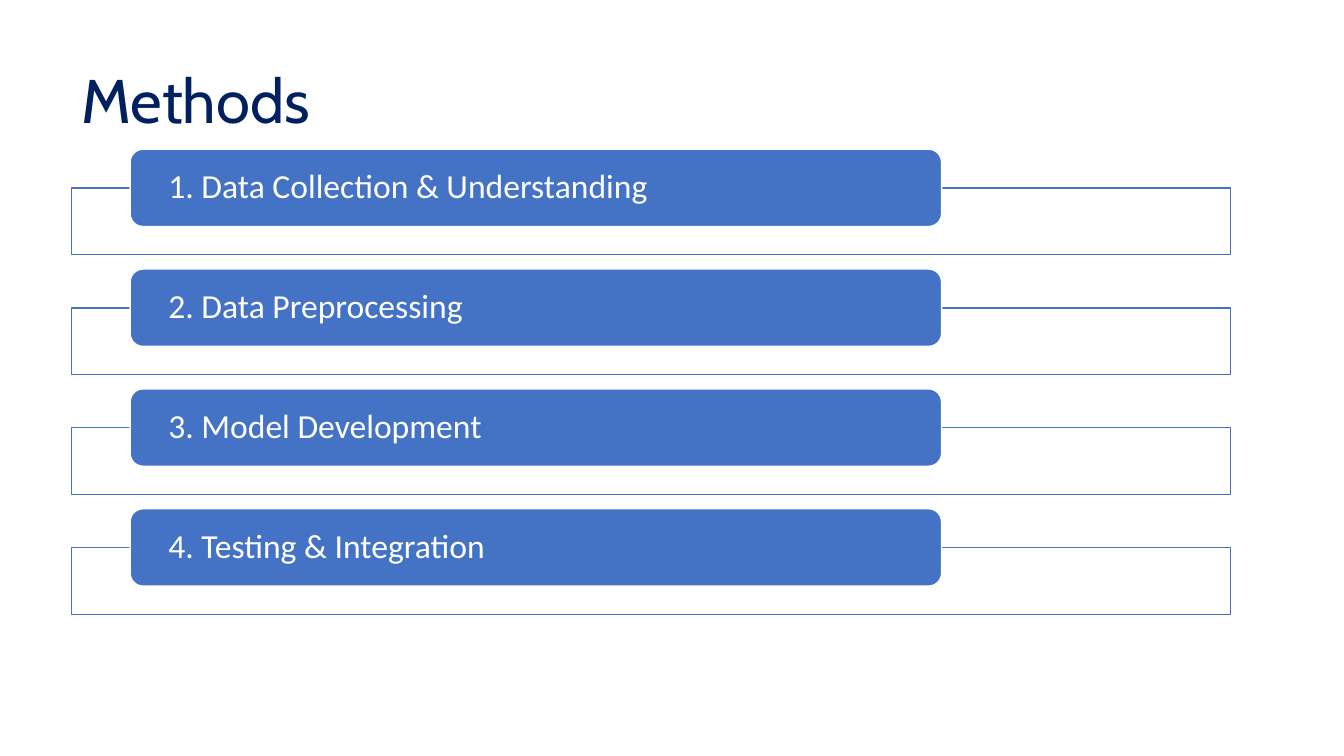
from lxml.etree import SubElement
from pptx import Presentation
from pptx.dml.color import RGBColor
from pptx.enum.shapes import MSO_SHAPE
from pptx.enum.text import MSO_ANCHOR, MSO_AUTO_SIZE, PP_ALIGN
from pptx.oxml.ns import qn
from pptx.util import Cm, Pt

COLORS = {"navy": "002060", "blue": "4472C4", "white": "FFFFFF"}
STEPS = [
    "Data Collection & Understanding",
    "Data Preprocessing",
    "Model Development",
    "Testing & Integration",
]
LEFT, WIDTH = 1.8, 29.21
TOP, PITCH = 3.76, 3.02


def color(name):
    """Return the named colour."""
    return RGBColor.from_string(COLORS[name])


def write(frame, text, font="Calibri", size=24, ink="white", inset=0.25, pad=0):
    """Put left-aligned, vertically centred text in a frame."""
    frame.word_wrap = True
    frame.auto_size = MSO_AUTO_SIZE.NONE
    frame.vertical_anchor = MSO_ANCHOR.MIDDLE
    frame.margin_left = frame.margin_right = Cm(inset)
    frame.margin_top = frame.margin_bottom = Cm(pad)
    para = frame.paragraphs[0]
    para.alignment = PP_ALIGN.LEFT
    para.line_spacing = 0.9
    run = para.add_run()
    run.text = text
    run.font.name = font
    run.font.size = Pt(size)
    run.font.color.rgb = color(ink)


def add_box(slide, kind, place, fill, line):
    """Add a filled and outlined shape without a shadow."""
    box = slide.shapes.add_shape(kind, *map(Cm, place))
    box.shadow.inherit = False
    box.fill.solid()
    box.fill.fore_color.rgb = color(fill)
    box.line.color.rgb = color(line)
    box.line.width = Pt(1)
    return box


def fade(box, percent):
    """Set the opacity of a solid fill."""
    tint = box.fill._xPr.find(qn("a:solidFill"))[0]
    SubElement(tint, qn("a:alpha"), val=str(percent * 1000))


def add_title(slide, text):
    """Place and fill the title."""
    title = slide.shapes.title
    title.left, title.top = Cm(LEFT), Cm(0.76)
    title.width, title.height = Cm(WIDTH), Cm(3.68)
    write(title.text_frame, text, font="Cabin", size=44, ink="navy", pad=0.13)


def add_step(slide, top, text):
    """Add a frame with a labelled bar over its upper edge."""
    frame = add_box(slide, MSO_SHAPE.RECTANGLE,
                    (LEFT, top + 0.98, WIDTH, 1.68), "white", "blue")
    fade(frame, 90)
    bar = add_box(slide, MSO_SHAPE.ROUNDED_RECTANGLE,
                  (LEFT + 1.48, top, 20.45, 1.95), "blue", "white")
    write(bar.text_frame, text, inset=0.87)


def main():
    """Build and save the slide."""
    deck = Presentation()
    deck.slide_width, deck.slide_height = Cm(33.87), Cm(19.05)
    slide = deck.slides.add_slide(deck.slide_layouts[5])
    add_title(slide, "Methods")
    for row, step in enumerate(STEPS):
        add_step(slide, TOP + row * PITCH, f"{row + 1}. {step}")
    deck.save("out.pptx")


if __name__ == "__main__":
    main()
